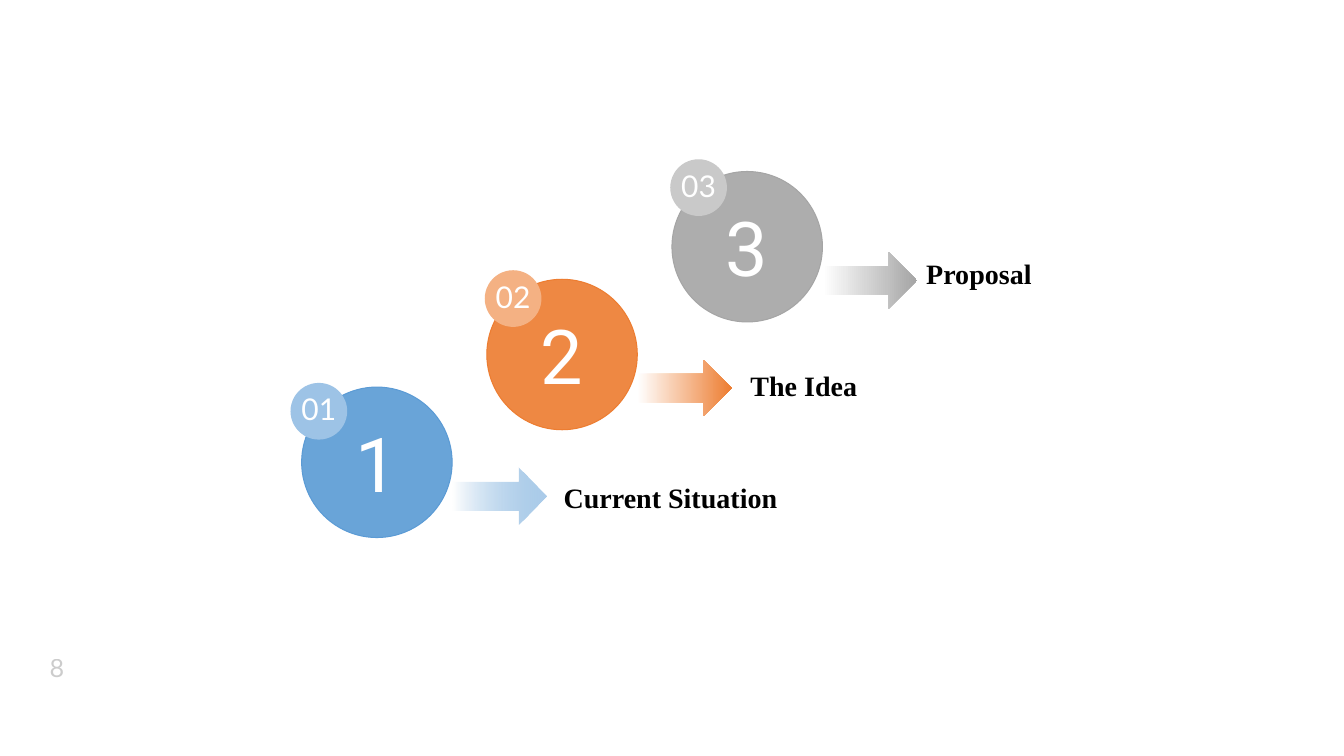
import pptx
import pptx.dml.color
import pptx.enum.shapes
import pptx.enum.text
import pptx.oxml
import pptx.oxml.ns
import pptx.util

Pt = pptx.util.Pt
SHAPES = pptx.enum.shapes.MSO_SHAPE
ALIGN = pptx.enum.text.PP_ALIGN
ANCHOR = pptx.enum.text.MSO_ANCHOR

CIRCLE_SIZE = 107.5
BADGE_SIZE = 40.5
STEP_RIGHT = 132.25
STEP_UP = 77

STEPS = [
    dict(title="Current Situation", color="5B9BD5", tint="9DC3E6", arrow_opacity=51,
         badge_at=(207.5, 273.5), title_at=(395.5, 340)),
    dict(title="The Idea", color="ED7D31", tint="F4B183", arrow_opacity=100,
         badge_at=(346.25, 193), title_at=(529, 260)),
    dict(title="Proposal", color="A5A5A5", tint="C9C9C9", arrow_opacity=100,
         badge_at=(478.75, 113.75), title_at=(654.5, 180)),
]


def rgb(color):
    return pptx.dml.color.RGBColor.from_string(color)


def set_opacity(element, percent):
    color_element = element.xpath(".//a:srgbClr")[-1]
    alpha = pptx.oxml.parse_xml(
        f'<a:alpha {pptx.oxml.ns.nsdecls("a")} val="{percent * 1000}"/>')
    color_element.append(alpha)


def write_text(shape, text, font, size, color="FFFFFF", bold=False, opacity=100,
               align=ALIGN.CENTER, anchor=ANCHOR.MIDDLE, margins=(7.2, 3.6),
               wrap=True, line_spacing=None):
    frame = shape.text_frame
    frame.word_wrap = wrap
    frame.vertical_anchor = anchor
    frame.margin_left = frame.margin_right = Pt(margins[0])
    frame.margin_top = frame.margin_bottom = Pt(margins[1])
    paragraph = frame.paragraphs[0]
    paragraph.alignment = align
    paragraph.line_spacing = line_spacing
    run = paragraph.add_run()
    run.text = text
    run.font.name = font
    run.font.size = Pt(size)
    run.font.bold = bold
    run.font.color.rgb = rgb(color)
    if opacity < 100:
        set_opacity(run.font._element, opacity)


def add_text_box(slide, left, top, width, height, text, **text_format):
    box = slide.shapes.add_textbox(Pt(left), Pt(top), Pt(width), Pt(height))
    write_text(box, text, align=ALIGN.LEFT, **text_format)


def add_plain_shape(slide, kind, left, top, width, height):
    shape = slide.shapes.add_shape(kind, Pt(left), Pt(top), Pt(width), Pt(height))
    shape.shadow.inherit = False
    shape.line.fill.background()
    return shape


def add_disc(slide, left, top, size, color, opacity=100, outline=None):
    disc = add_plain_shape(slide, SHAPES.OVAL, left, top, size, size)
    disc.fill.solid()
    disc.fill.fore_color.rgb = rgb(color)
    if opacity < 100:
        set_opacity(disc._element.spPr, opacity)
    if outline:
        disc.line.color.rgb = rgb(outline)
        disc.line.width = Pt(0.75)
    return disc


def add_fading_arrow(slide, left, top, color, opacity):
    arrow = add_plain_shape(slide, SHAPES.RIGHT_ARROW, left, top, 67.5, BADGE_SIZE)
    arrow.fill.gradient()
    arrow.fill.gradient_angle = 0
    for stop, stop_color in zip(arrow.fill.gradient_stops, ("FFFFFF", color)):
        stop.color.rgb = rgb(stop_color)
    if opacity < 100:
        set_opacity(arrow._element.spPr, opacity)


def add_step(slide, index, title, color, tint, arrow_opacity, badge_at, title_at):
    number = index + 1
    left = 215.5 + index * STEP_RIGHT
    top = 276.5 - index * STEP_UP
    add_fading_arrow(slide, left + CIRCLE_SIZE, top + 57.5, color, arrow_opacity)
    circle = add_disc(slide, left, top, CIRCLE_SIZE, color, opacity=91, outline=color)
    write_text(circle, str(number), font="Roboto", size=54)
    badge = add_disc(slide, *badge_at, BADGE_SIZE, tint)
    write_text(badge, f"{number:02}", font="Lato", size=21.4, margins=(0, 0),
               wrap=False, line_spacing=0.89)
    add_text_box(slide, *title_at, 183, 31.5, title, font="Times New Roman",
                 size=20, color="000000", bold=True, anchor=ANCHOR.TOP)


def main():
    presentation = pptx.Presentation()
    presentation.slide_width = Pt(960)
    presentation.slide_height = Pt(540)
    slide = presentation.slides.add_slide(presentation.slide_layouts[6])
    add_text_box(slide, 26, 463.75, 69, 26, "8", font="Lato", size=18,
                 color="000000", opacity=20, margins=(9.5, 5))
    for index, step in enumerate(STEPS):
        add_step(slide, index, **step)
    presentation.save("out.pptx")


if __name__ == "__main__":
    main()
